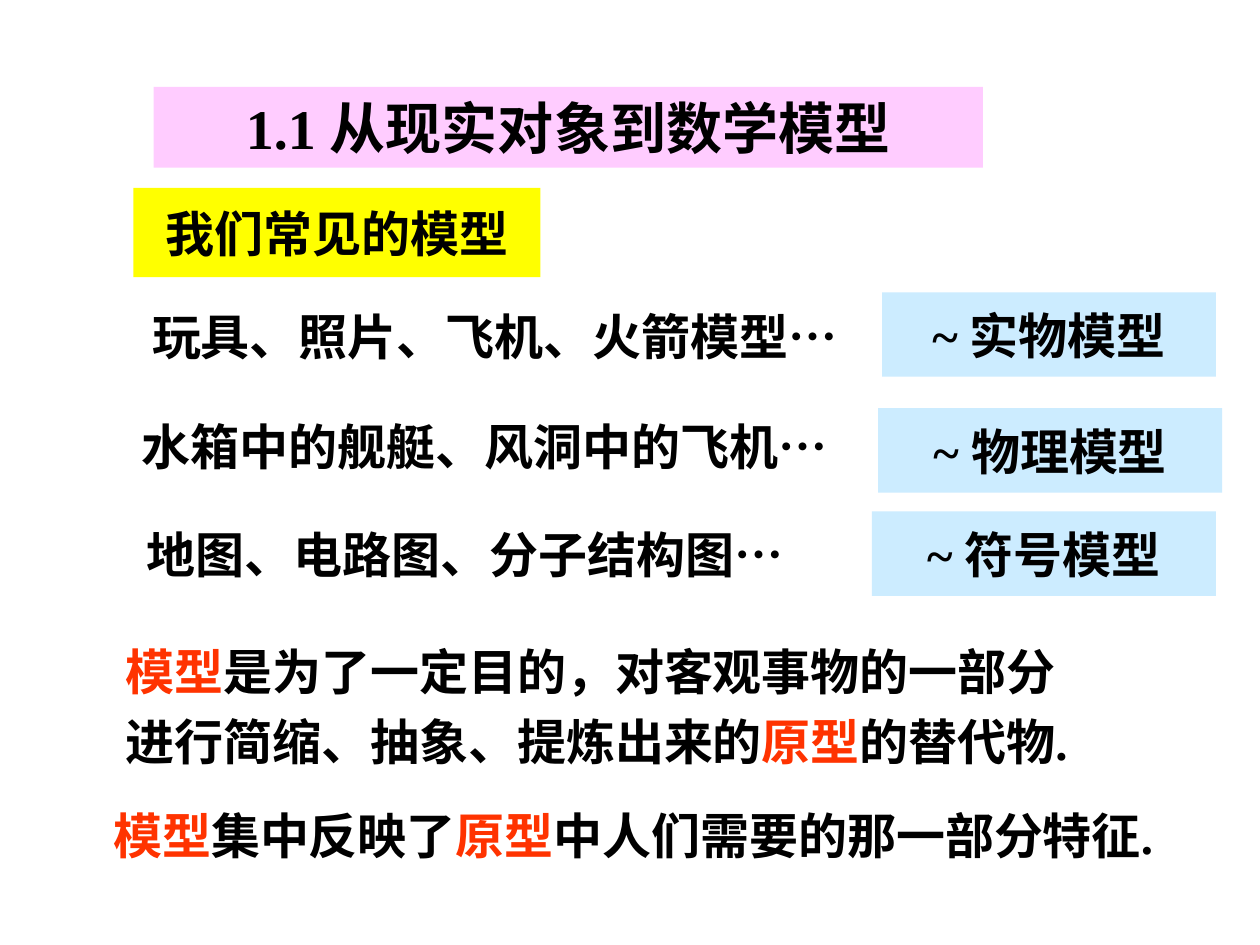
from pptx import Presentation
from pptx.dml.color import RGBColor
from pptx.enum.shapes import MSO_SHAPE
from pptx.enum.text import MSO_ANCHOR, PP_ALIGN
from pptx.oxml.ns import qn
from pptx.util import Pt

RECTANGLE = MSO_SHAPE.RECTANGLE
MIDDLE = MSO_ANCHOR.MIDDLE
LEFT, CENTER = PP_ALIGN.LEFT, PP_ALIGN.CENTER

BLACK = RGBColor(0x00, 0x00, 0x00)
RED = RGBColor(0xFF, 0x33, 0x00)
PINK = RGBColor(0xFF, 0xCC, 0xFF)
YELLOW = RGBColor(0xFF, 0xFF, 0x00)
PALE_BLUE = RGBColor(0xCC, 0xEC, 0xFF)

SERIF = "Times New Roman"
SANS = "Noto Sans CJK SC"
KEYWORDS = ("模型", "原型")

MODEL_ROWS = [
    ("玩具、照片、飞机、火箭模型…", (0, 164.88, 529.2, 54), 36,
     "~ 实物模型", (504, 167.04, 190.8, 48.24)),
    ("水箱中的舰艇、风洞中的飞机…", (18, 227.52, 517.68, 54), 0,
     "~ 物理模型", (501.84, 233.28, 196.56, 48.24)),
    ("地图、电路图、分子结构图…", (18, 292.32, 495.36, 48.24), 0,
     "~ 符号模型", (498.24, 292.32, 196.56, 48.24)),
]


def write_text(shape, lines, size=28, font=SERIF, align=CENTER, wrap=False,
               indent=0, line_spacing=None):
    frame = shape.text_frame
    frame.word_wrap = wrap
    frame.vertical_anchor = MIDDLE
    for index, spans in enumerate(lines):
        para = frame.paragraphs[0] if index == 0 else frame.add_paragraph()
        para.alignment = align
        if line_spacing:
            para.line_spacing = line_spacing
        if indent:
            para.level = 1
            properties = para._p.get_or_add_pPr()
            properties.set("marL", str(Pt(indent)))
            properties.set("indent", "0")
        for text in spans:
            span = para.add_run()
            span.text = text
            span.font.size = Pt(size)
            span.font.bold = True
            span.font.name = font
            span.font.color.rgb = RED if text in KEYWORDS else BLACK
            east_asian = span._r.get_or_add_rPr().makeelement(qn("a:ea"), {"typeface": SANS})
            span._r.rPr.find(qn("a:latin")).addnext(east_asian)


def add_label(page, box, text, fill, **text_format):
    label = page.shapes.add_shape(RECTANGLE, *map(Pt, box))
    label.shadow.inherit = False
    label.fill.solid()
    label.fill.fore_color.rgb = fill
    label.line.fill.background()
    write_text(label, [[text]], **text_format)


def add_passage(page, box, lines, **text_format):
    passage = page.shapes.add_textbox(*map(Pt, box))
    write_text(passage, lines, **text_format)


def add_model_row(page, examples, examples_box, indent, kind, kind_box):
    add_passage(page, examples_box, [[examples]], indent=indent)
    add_label(page, kind_box, kind, PALE_BLUE)


def main():
    deck = Presentation()
    deck.slide_width, deck.slide_height = Pt(720), Pt(540)
    page = deck.slides.add_slide(deck.slide_layouts[6])

    for row in MODEL_ROWS:
        add_model_row(page, *row)
    add_passage(page, (64.8, 354.96, 567.36, 90), [
        ["模型", "是为了一定目的，对客观事物的一部分"],
        ["进行简缩、抽象、提炼出来的", "原型", "的替代物."],
    ], align=LEFT, line_spacing=1.2)
    add_passage(page, (18, 450, 687.6, 54), [
        ["模型", "集中反映了", "原型", "中人们需要的那一部分特征."],
    ])
    add_label(page, (87.84, 49.68, 473.76, 46.08), "1.1 从现实对象到数学模型",
              PINK, size=32, wrap=True)
    add_label(page, (76.32, 107.28, 232.56, 51.12), "我们常见的模型", YELLOW, font=SANS)

    deck.save("out.pptx")


if __name__ == "__main__":
    main()
